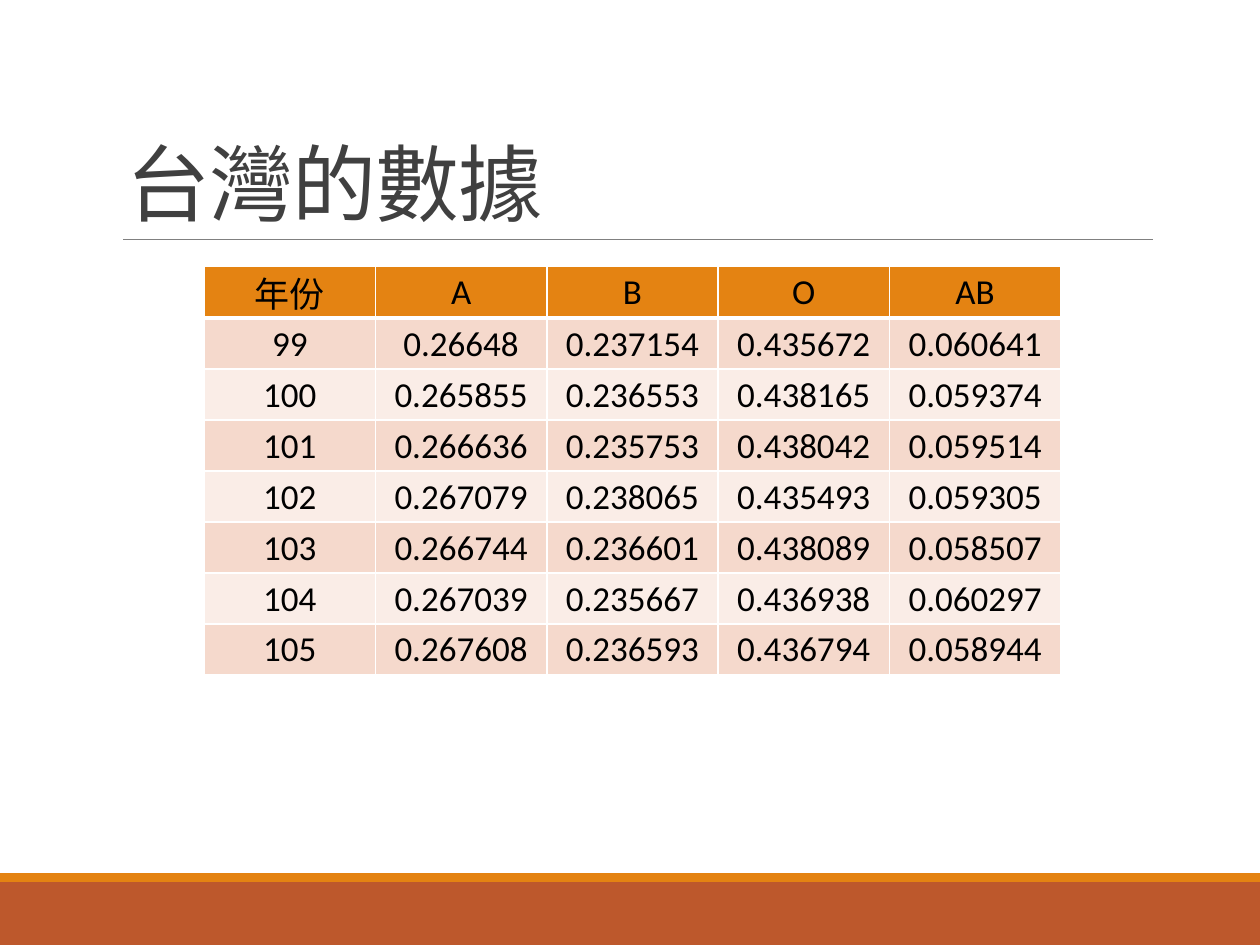
from lxml.etree import SubElement
from pptx import Presentation
from pptx.dml.color import RGBColor
from pptx.enum.shapes import MSO_CONNECTOR, MSO_SHAPE
from pptx.enum.text import MSO_ANCHOR, PP_ALIGN
from pptx.oxml.ns import qn
from pptx.util import Inches, Pt

TITLE = "台灣的數據"
HEADER = ("年份", "A", "B", "O", "AB")
RECORDS = [
    ("99", "0.26648", "0.237154", "0.435672", "0.060641"),
    ("100", "0.265855", "0.236553", "0.438165", "0.059374"),
    ("101", "0.266636", "0.235753", "0.438042", "0.059514"),
    ("102", "0.267079", "0.238065", "0.435493", "0.059305"),
    ("103", "0.266744", "0.236601", "0.438089", "0.058507"),
    ("104", "0.267039", "0.235667", "0.436938", "0.060297"),
    ("105", "0.267608", "0.236593", "0.436794", "0.058944"),
]

WHITE = RGBColor(0xFF, 0xFF, 0xFF)
BLACK = RGBColor(0x00, 0x00, 0x00)
CHARCOAL = RGBColor(0x40, 0x40, 0x40)
GRAY = RGBColor(0x80, 0x80, 0x80)
ORANGE = RGBColor(0xE4, 0x83, 0x12)
RUST = RGBColor(0xBD, 0x58, 0x2C)
BANDS = (RGBColor(0xFA, 0xED, 0xE7), RGBColor(0xF5, 0xD9, 0xCC))

LATIN_FONT = "Calibri"
CJK_FONT = "Noto Sans CJK SC"
SLIDE_WIDTH, SLIDE_HEIGHT = Inches(10), Inches(7.5)
FOOTER_TOP, STRIPE_HEIGHT = Inches(7), Inches(0.07)
RULE_LEFT, RULE_RIGHT, RULE_TOP = Inches(0.98), Inches(9.15), Inches(1.9)
TITLE_LEFT, TITLE_TOP = Inches(0.9), Inches(0.31)
TABLE_LEFT, TABLE_TOP = Inches(1.62), Inches(2.11)
TABLE_WIDTH, TABLE_HEIGHT = Inches(6.8), Inches(3.24)


def add_band(page, top, height, color):
    band = page.shapes.add_shape(MSO_SHAPE.RECTANGLE, 0, top, SLIDE_WIDTH, height)
    band.shadow.inherit = False
    band.fill.solid()
    band.fill.fore_color.rgb = color
    band.line.fill.background()


def add_rule(page):
    rule = page.shapes.add_connector(
        MSO_CONNECTOR.STRAIGHT, RULE_LEFT, RULE_TOP, RULE_RIGHT, RULE_TOP
    )
    rule.line.color.rgb = GRAY
    rule.line.width = Pt(0.5)
    SubElement(rule._element.spPr, qn("a:effectLst"))


def format_title(title):
    title.left, title.top = TITLE_LEFT, TITLE_TOP
    title.width, title.height = RULE_RIGHT - TITLE_LEFT, RULE_TOP - TITLE_TOP
    title.text_frame.vertical_anchor = MSO_ANCHOR.BOTTOM
    para = title.text_frame.paragraphs[0]
    para.alignment = PP_ALIGN.LEFT
    para.line_spacing = 0.85
    span = para.add_run()
    span.text = TITLE
    span.font.size = Pt(48)
    span.font.name = CJK_FONT
    span.font.color.rgb = CHARCOAL
    properties = span._r.get_or_add_rPr()
    properties.set("spc", "-50")
    SubElement(properties, qn("a:ea"), typeface=CJK_FONT)


def add_borders(cell, row):
    properties = cell._tc.get_or_add_tcPr()
    top = 3 if row == 1 else 1
    bottom = 3 if row == 0 else 1
    for side, width in (("L", 1), ("R", 1), ("T", top), ("B", bottom)):
        border = SubElement(properties, qn(f"a:ln{side}"), w=str(Pt(width)))
        fill = SubElement(border, qn("a:solidFill"))
        SubElement(fill, qn("a:srgbClr"), val=str(WHITE))


def format_cell(cell, text, row):
    add_borders(cell, row)
    cell.fill.solid()
    cell.fill.fore_color.rgb = BANDS[row % 2] if row else ORANGE
    cell.vertical_anchor = MSO_ANCHOR.MIDDLE
    cell.margin_left = cell.margin_right = cell.margin_top = Inches(0.01)
    cell.margin_bottom = 0
    cell.text = text
    para = cell.text_frame.paragraphs[0]
    para.alignment = PP_ALIGN.CENTER
    para.font.size = Pt(20)
    para.font.name = LATIN_FONT
    para.font.bold = False
    para.font.color.rgb = BLACK


def add_data_table(page):
    rows = [HEADER, *RECORDS]
    table = page.shapes.add_table(
        len(rows), len(HEADER), TABLE_LEFT, TABLE_TOP, TABLE_WIDTH, TABLE_HEIGHT
    ).table
    for row, values in enumerate(rows):
        for column, text in enumerate(values):
            format_cell(table.cell(row, column), text, row)


def main():
    """Build a slide with a title above a table of yearly figures."""
    deck = Presentation()
    deck.slide_width, deck.slide_height = SLIDE_WIDTH, SLIDE_HEIGHT
    page = deck.slides.add_slide(deck.slide_layouts[5])
    add_band(page, FOOTER_TOP, SLIDE_HEIGHT - FOOTER_TOP, RUST)
    add_band(page, FOOTER_TOP - STRIPE_HEIGHT, STRIPE_HEIGHT, ORANGE)
    add_rule(page)
    format_title(page.shapes.title)
    add_data_table(page)
    deck.save("out.pptx")


if __name__ == "__main__":
    main()
